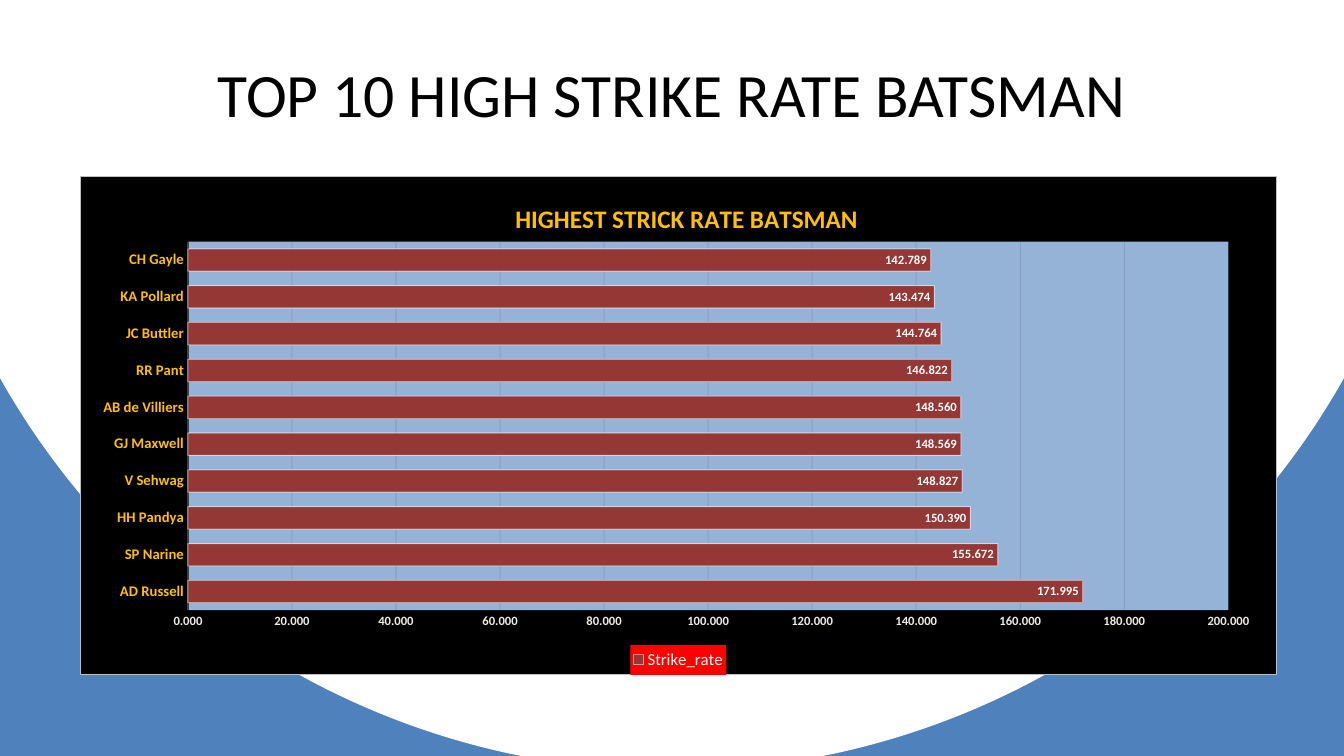
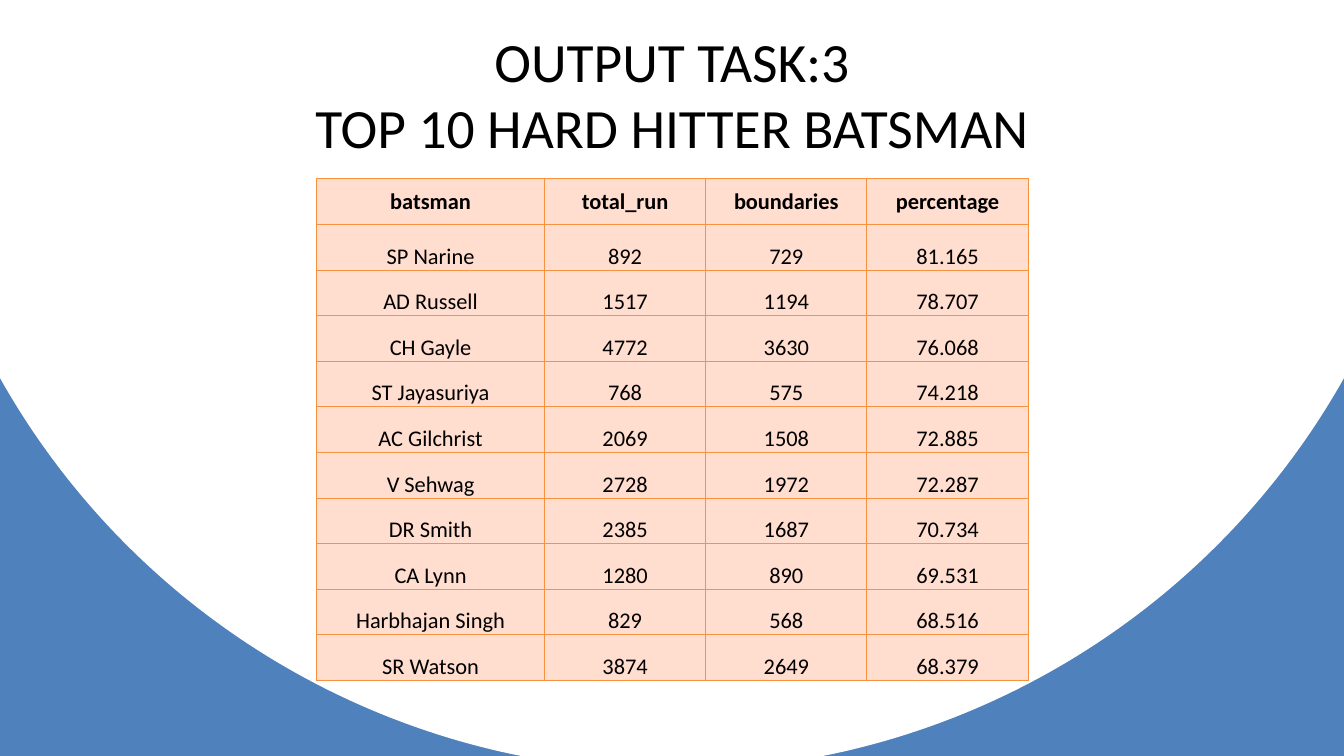
from lxml import etree
from pptx import Presentation
from pptx import util as u
from pptx.chart import data as chart_data
from pptx.dml import color
from pptx.enum import chart as chart_enum
from pptx.enum import text
from pptx.oxml import parse_xml
from pptx.oxml.ns import nsdecls, qn

COLORS = {
    "white": "FFFFFF", "black": "000000", "blue": "4F81BD", "plot": "95B3D7",
    "bar": "953735", "gold": "FFC000", "cream": "EEECE1", "red": "FF0000",
    "border": "BFBFBF", "axis": "404040", "grid": "0D0D0D",
    "cell": "FFDDCF", "orange": "F69240",
}

STRIKE_RATES = [
    ("AD Russell", 171.995), ("SP Narine", 155.672), ("HH Pandya", 150.39),
    ("V Sehwag", 148.827), ("GJ Maxwell", 148.569), ("AB de Villiers", 148.56),
    ("RR Pant", 146.822), ("JC Buttler", 144.764), ("KA Pollard", 143.474),
    ("CH Gayle", 142.789),
]

HARD_HITTERS = [
    ("batsman", "total_run", "boundaries", "percentage"),
    ("SP Narine", "892", "729", "81.165"),
    ("AD Russell", "1517", "1194", "78.707"),
    ("CH Gayle", "4772", "3630", "76.068"),
    ("ST Jayasuriya", "768", "575", "74.218"),
    ("AC Gilchrist", "2069", "1508", "72.885"),
    ("V Sehwag", "2728", "1972", "72.287"),
    ("DR Smith", "2385", "1687", "70.734"),
    ("CA Lynn", "1280", "890", "69.531"),
    ("Harbhajan Singh", "829", "568", "68.516"),
    ("SR Watson", "3874", "2649", "68.379"),
]


def rgb(name):
    """Return the named colour as an RGB value."""
    return color.RGBColor.from_string(COLORS[name])


def solid(name, alpha=100):
    """Return the markup of a solid fill."""
    return (f'<a:solidFill><a:srgbClr val="{COLORS[name]}">'
            f'<a:alpha val="{alpha * 1000}"/></a:srgbClr></a:solidFill>')


def area_style(fill, border=None):
    """Return the shape properties of a chart area."""
    line = solid(border) if border else "<a:noFill/>"
    return parse_xml(f'<c:spPr {nsdecls("c", "a")}>{solid(fill)}'
                     f'<a:ln w="9525">{line}</a:ln></c:spPr>')


def set_layout(parent, position, inner=False, **shares):
    """Place a chart part by shares of the chart's size."""
    for old in parent.findall(qn("c:layout")):
        parent.remove(old)
    target = '<c:layoutTarget val="inner"/>' if inner else ""
    modes = "".join(f'<c:{side}Mode val="edge"/>' for side in "xy")
    values = "".join(f'<c:{key} val="{value}"/>' for key, value in shares.items())
    parent.insert(position, parse_xml(
        f'<c:layout {nsdecls("c")}><c:manualLayout>{target}{modes}{values}'
        '</c:manualLayout></c:layout>'))


def fade(line, alpha):
    """Make a solid line partly transparent."""
    for value in line._get_or_add_ln().iter(qn("a:srgbClr")):
        etree.SubElement(value, qn("a:alpha")).set("val", str(alpha * 1000))


class Deck:
    """Hold the style and the current slide, on a grid of 80 by 60 cells."""

    font_name = "Calibri"
    columns, rows = 80, 60

    def __init__(self):
        """Set the slide size and the shared background."""
        self.presentation = Presentation()
        self.presentation.slide_width = u.Inches(13.33)
        self.presentation.slide_height = u.Inches(7.5)
        self.slide = None
        master = self.presentation.slide_master
        master.background.fill.gradient()
        gradient = master.element.find(".//" + qn("a:gradFill"))
        stops = "".join(f'<a:gs pos="100000"><a:srgbClr val="{COLORS[name]}"/></a:gs>'
                        for name in ("white", "blue"))
        gradient.getparent().replace(gradient, parse_xml(
            f'<a:gradFill {nsdecls("a")} rotWithShape="1"><a:gsLst>{stops}</a:gsLst>'
            '<a:path path="circle"><a:fillToRect l="50000" t="-80000" r="50000" '
            'b="180000"/></a:path></a:gradFill>'))

    def across(self, cells):
        """Turn grid columns into a length."""
        return int(self.presentation.slide_width * cells / self.columns)

    def down(self, cells):
        """Turn grid rows into a length."""
        return int(self.presentation.slide_height * cells / self.rows)

    def box(self, left, top, width, height):
        """Turn a grid box into four lengths."""
        return self.across(left), self.down(top), self.across(width), self.down(height)

    def style(self, font, size, name, bold=False):
        """Format a font in the deck's typeface."""
        font.name, font.size, font.bold = self.font_name, u.Pt(size), bold
        font.color.rgb = rgb(name)

    def add_run(self, paragraph, words, size, name="black", bold=False):
        """Add one formatted run of centred text."""
        paragraph.alignment = text.PP_ALIGN.CENTER
        run = paragraph.add_run()
        run.text = words
        self.style(run.font, size, name, bold)

    def add_slide(self, lines, size):
        """Start a slide with a title of one or more lines."""
        self.slide = self.presentation.slides.add_slide(self.presentation.slide_layouts[5])
        title = self.slide.shapes.title
        title.left, title.top, title.width, title.height = self.box(4, 2.4, 72, 10)
        frame = title.text_frame
        frame.auto_size = text.MSO_AUTO_SIZE.NONE
        frame.vertical_anchor = text.MSO_ANCHOR.MIDDLE
        paragraph = frame.paragraphs[0]
        for index, line in enumerate(lines):
            if index:
                paragraph.add_line_break()
            self.add_run(paragraph, line, size)

    def add_bar_chart(self, heading, series_name, records, box):
        """Add a horizontal bar chart with value labels."""
        data = chart_data.CategoryChartData(number_format="0.000")
        data.categories = [name for name, _ in records]
        data.add_series(series_name, [value for _, value in records])
        chart = self.slide.shapes.add_chart(
            chart_enum.XL_CHART_TYPE.BAR_CLUSTERED, *self.box(*box), data).chart
        self.style(chart.font, 10, "black")
        self.add_run(chart.chart_title.text_frame.paragraphs[0], heading, 18, "gold", True)
        set_layout(chart.chart_title._element, 1, x=0.36, y=0.04)
        self.style_plot(chart)
        self.style_axes(chart)
        self.style_legend(chart)

    def style_plot(self, chart):
        """Format the chart areas, the bars and their labels."""
        space = chart._chartSpace
        space.find(qn("c:chart")).addnext(area_style("black", "border"))
        area = space.find(".//" + qn("c:plotArea"))
        set_layout(area, 0, inner=True, x=0.09, y=0.13, w=0.87, h=0.74)
        area.append(area_style("plot"))
        plot = chart.plots[0]
        plot.gap_width, plot.vary_by_categories = 65, False
        bars = plot.series[0].format
        bars.fill.solid()
        bars.fill.fore_color.rgb = rgb("bar")
        bars.line.color.rgb, bars.line.width = rgb("white"), u.Pt(0.75)
        fade(bars.line, 50)
        labels = plot.series[0].data_labels
        self.style(labels.font, 9, "white", True)
        labels.show_value = True
        labels.number_format, labels.number_format_is_linked = "0.000", False
        labels.position = chart_enum.XL_LABEL_POSITION.INSIDE_END

    def style_axes(self, chart):
        """Format both axes and the gridlines."""
        names, values = chart.category_axis, chart.value_axis
        for axis, size, name in ((names, 10.5, "gold"), (values, 9, "cream")):
            axis.major_tick_mark = axis.minor_tick_mark = chart_enum.XL_TICK_MARK.NONE
            self.style(axis.tick_labels.font, size, name, True)
        names.has_major_gridlines = False
        names.format.line.color.rgb, names.format.line.width = rgb("axis"), u.Pt(1.5)
        values.minimum_scale, values.maximum_scale, values.major_unit = 0, 200, 20
        values.tick_labels.number_format = "0.000"
        values.tick_labels.number_format_is_linked = False
        values.format.line.fill.background()
        values.has_major_gridlines = True
        gridline = values.major_gridlines.format.line
        gridline.color.rgb, gridline.width = rgb("grid"), u.Pt(0.75)
        fade(gridline, 10)

    def style_legend(self, chart):
        """Format the legend below the bars."""
        chart.has_legend = True
        legend = chart.legend
        legend.position = chart_enum.XL_LEGEND_POSITION.BOTTOM
        legend.include_in_layout = False
        self.style(legend.font, 12, "white")
        set_layout(legend._element, 1, x=0.46, y=0.94, w=0.08, h=0.06)
        legend._element.find(qn("c:txPr")).addprevious(area_style("red"))

    def add_table(self, records, left, top, widths, height):
        """Add a ruled table with a bold first row."""
        frame = self.slide.shapes.add_table(
            len(records), len(widths), *self.box(left, top, sum(widths), height))
        table = frame.table
        table.first_row = table.horz_banding = False
        for column, width in zip(table.columns, widths):
            column.width = self.across(width)
        for row_index, record in enumerate(records):
            table.rows[row_index].height = self.down(height / len(records))
            for column_index, words in enumerate(record):
                self.fill_cell(table.cell(row_index, column_index), words, row_index == 0)

    def fill_cell(self, cell, words, header):
        """Write and format one table cell."""
        cell.margin_left = cell.margin_right = cell.margin_top = u.Inches(0.01)
        cell.margin_bottom = 0
        cell.vertical_anchor = text.MSO_ANCHOR.MIDDLE if header else text.MSO_ANCHOR.BOTTOM
        self.add_run(cell.text_frame.paragraphs[0], words, 16, bold=header)
        properties = cell._tc.get_or_add_tcPr()
        for side in "LRTB":
            properties.append(parse_xml(
                f'<a:ln{side} {nsdecls("a")} w="9525">{solid("orange")}</a:ln{side}>'))
        cell.fill.solid()
        cell.fill.fore_color.rgb = rgb("cell")


def main():
    """Build and save the deck."""
    deck = Deck()
    deck.add_slide(["TOP 10 HIGH STRIKE RATE BATSMAN"], 44)
    deck.add_bar_chart("HIGHEST STRICK RATE BATSMAN", "Strike_rate", STRIKE_RATES,
                       (4.75, 14, 71.25, 39.6))
    deck.add_slide(["OUTPUT TASK:3", "TOP 10 HARD HITTER BATSMAN"], 39.6)
    deck.add_table(HARD_HITTERS, 18.85, 14.2, (13.56, 9.6, 9.6, 9.6), 39.84)
    deck.presentation.save("out.pptx")


if __name__ == "__main__":
    main()
